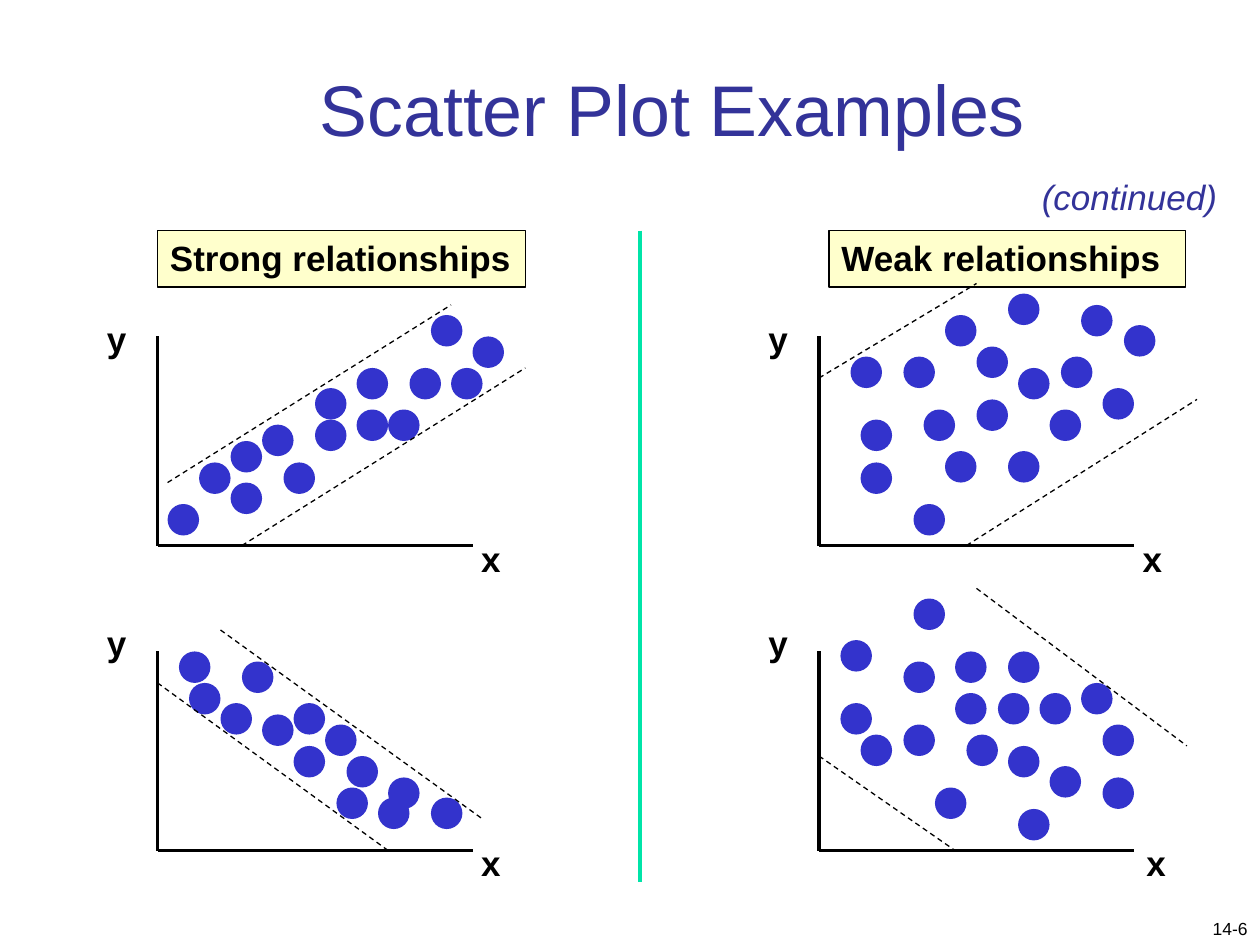
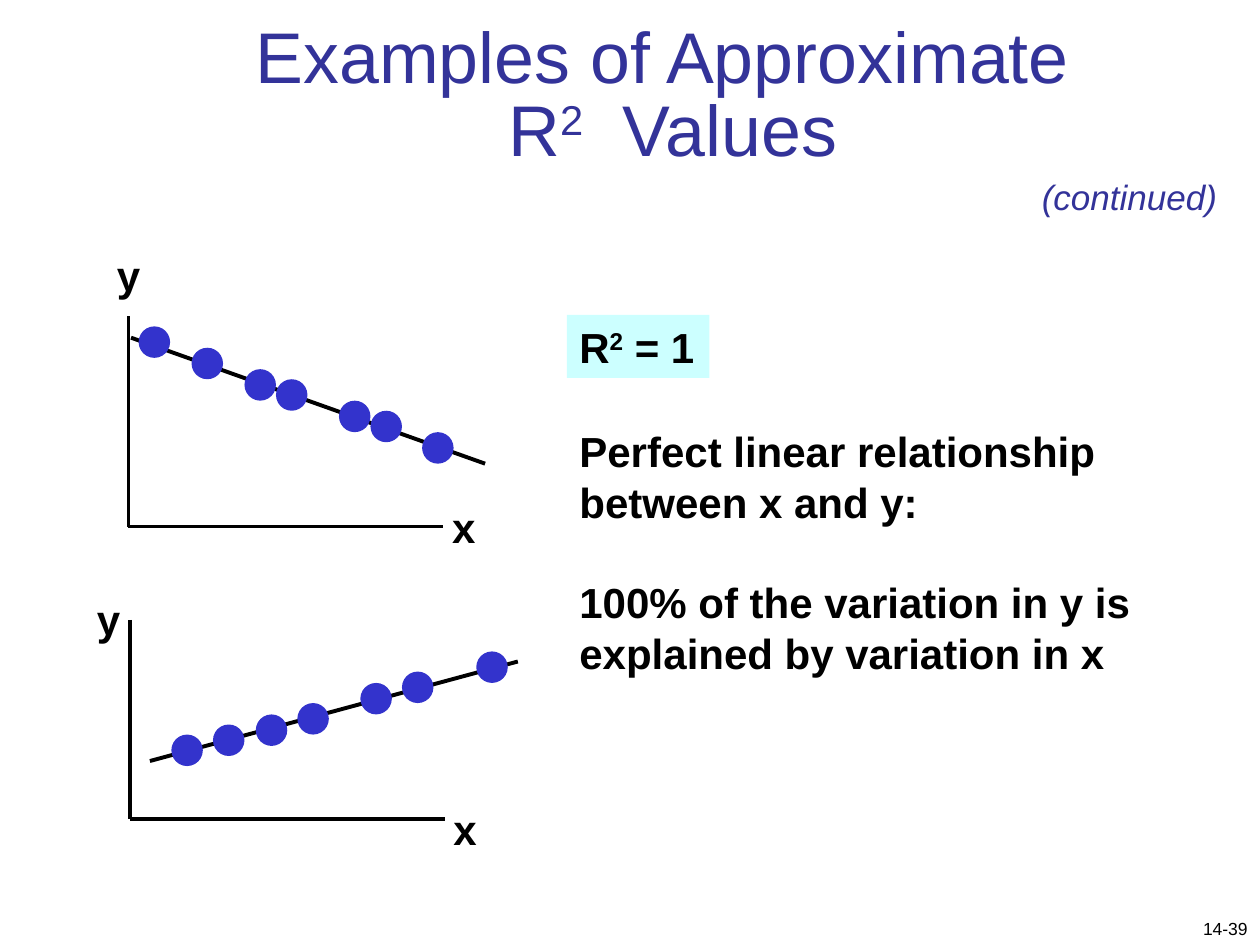
from copy import deepcopy
from pptx import Presentation
from pptx.dml.color import RGBColor
from pptx.enum.dml import MSO_LINE
from pptx.enum.shapes import MSO_CONNECTOR, MSO_SHAPE
from pptx.enum.text import MSO_ANCHOR, MSO_AUTO_SIZE, PP_ALIGN
from pptx.oxml.ns import qn
from pptx.util import Cm, Pt
from lxml.etree import SubElement

BLACK = RGBColor(0x00, 0x00, 0x00)
NAVY = RGBColor(0x33, 0x33, 0x99)
BLUE = RGBColor(0x33, 0x33, 0xCC)
CREAM = RGBColor(0xFF, 0xFF, 0xCC)
AQUA = RGBColor(0xCC, 0xFF, 0xFF)
GREEN = RGBColor(0x00, 0xE4, 0xA8)
FONT = "Arial"
DOT = 0.25
SPAN = 2.5


def inch(*sides):
    return [Cm(side * 2.54) for side in sides]


def write(frame, text, size=20, color=BLACK, bold=False, italic=False,
          align=PP_ALIGN.LEFT, anchor=MSO_ANCHOR.TOP, wrap=True,
          fit=MSO_AUTO_SIZE.NONE, lead=None, gap=0):
    frame.word_wrap = wrap
    frame.auto_size = fit
    frame.vertical_anchor = anchor
    for i, line in enumerate(text.split("\n")):
        para = frame.add_paragraph() if i else frame.paragraphs[0]
        para.alignment = align
        para.line_spacing = lead
        para.space_before = Pt(gap if i else 0)
        for j, part in enumerate(line.split("^")):
            for k, piece in enumerate(part.split("\v")):
                if k:
                    para.add_line_break()
                run = para.add_run()
                run.text = piece
                font = run.font
                font.name, font.size = FONT, Pt(size)
                font.bold, font.italic = bold, italic
                font.color.rgb = color
                if j % 2:
                    font._element.set("baseline", "30000")
        for mark in para._p.findall(qn("a:br")):
            mark.append(deepcopy(para.runs[0].font._element))


class Deck:
    def __init__(self):
        self.file = Presentation()
        self.file.slide_width, self.file.slide_height = inch(10, 7.5)
        self.slide = None

    def page(self, title, box, number, lead=None):
        self.slide = self.file.slides.add_slide(self.file.slide_layouts[5])
        head = self.slide.shapes.title
        head.left, head.top, head.width, head.height = inch(*box)
        write(head.text_frame, title, size=41, color=NAVY, lead=lead,
              align=PP_ALIGN.CENTER, anchor=MSO_ANCHOR.BOTTOM)
        self.text(number, 7.92, 7.16, 2.08, 0.34, size=10,
                  align=PP_ALIGN.RIGHT, anchor=MSO_ANCHOR.BOTTOM)
        self.text("(continued)", 8.17, 1.34, 1.6, 0.43, color=NAVY,
                  italic=True, wrap=False)

    def text(self, words, x, y, w, h, **style):
        box = self.slide.shapes.add_textbox(*inch(x, y, w, h))
        write(box.text_frame, words, **style)

    def shape(self, kind, x, y, w, h, fill, edge=None):
        item = self.slide.shapes.add_shape(kind, *inch(x, y, w, h))
        item.shadow.inherit = False
        item.fill.solid()
        item.fill.fore_color.rgb = fill
        if edge:
            item.line.color.rgb = edge
            item.line.width = Pt(1)
        else:
            item.line.fill.background()
        return item

    def panel(self, words, x, y, w, h, fill, edge=None, **style):
        item = self.shape(MSO_SHAPE.RECTANGLE, x, y, w, h, fill, edge)
        write(item.text_frame, words, bold=True, **style)

    def line(self, x1, y1, x2, y2, width=2, color=BLACK, dash=False):
        item = self.slide.shapes.add_connector(
            MSO_CONNECTOR.STRAIGHT, *inch(x1, y1, x2, y2))
        item.line.color.rgb = color
        item.line.width = Pt(width)
        if dash:
            item.line.dash_style = MSO_LINE.DASH
        SubElement(item._element.spPr, qn("a:effectLst"))

    def plot(self, x, top, base, dots, ylab, xlab, size=20):
        self.line(x, top, x, base)
        self.line(x, base, x + SPAN, base)
        for left, high in dots:
            self.shape(MSO_SHAPE.OVAL, left, high, DOT, DOT, BLUE)
        for name, spot in (("y", ylab), ("x", xlab)):
            self.text(name, *spot, 0.36, size / 48, size=size, bold=True,
                      wrap=False)


RISE = [(1.33, 4), (1.58, 3.67), (1.83, 3.83), (1.83, 3.5), (2.08, 3.37),
        (2.25, 3.67), (2.5, 3.33), (2.5, 3.08), (2.83, 3.25), (2.83, 2.92),
        (3.08, 3.25), (3.25, 2.92), (3.42, 2.5), (3.58, 2.92), (3.75, 2.67)]
FALL = [(1.42, 5.17), (1.5, 5.42), (1.75, 5.58), (1.92, 5.25), (2.08, 5.67),
        (2.33, 5.58), (2.33, 5.92), (2.58, 5.75), (2.67, 6.25), (2.75, 6),
        (3, 6.33), (3.08, 6.17), (3.42, 6.33)]
LOOSE = [(6.75, 2.83), (6.83, 3.33), (6.83, 3.67), (7.17, 2.83), (7.25, 4),
         (7.33, 3.25), (7.5, 2.5), (7.5, 3.58), (7.75, 2.75), (7.75, 3.17),
         (8, 2.33), (8, 3.58), (8.08, 2.92), (8.33, 3.25), (8.42, 2.83),
         (8.58, 2.42), (8.75, 3.08), (8.92, 2.58)]
SPARSE = [(6.67, 5.08), (6.67, 5.58), (6.83, 5.83), (7.17, 5.25),
          (7.17, 5.75), (7.25, 4.75), (7.42, 6.25), (7.58, 5.17),
          (7.58, 5.5), (7.67, 5.83), (7.92, 5.5), (8, 5.17), (8, 5.92),
          (8.08, 6.42), (8.25, 5.5), (8.33, 6.08), (8.58, 5.42),
          (8.75, 5.75), (8.75, 6.17)]
BANDS = [(1.33, 3.83, 3.58, 2.42), (1.92, 4.33, 4.17, 2.92),
         (6.5, 3, 7.75, 2.25), (7.67, 4.33, 9.5, 3.17),
         (1.75, 5, 3.83, 6.5), (1.25, 5.42, 3.08, 6.75),
         (7.75, 4.67, 9.42, 5.92), (6.5, 6, 7.58, 6.75)]
DOWN = [(1.1, 2.59), (1.52, 2.76), (1.94, 2.93), (2.19, 3.01),
        (2.69, 3.18), (2.94, 3.26), (3.35, 3.43)]
UP = [(1.36, 5.83), (1.69, 5.75), (2.03, 5.67), (2.36, 5.58),
      (2.86, 5.42), (3.19, 5.33), (3.78, 5.17)]


def scatter(deck):
    deck.page("Scatter Plot Examples", (1.08, 0.42, 8.52, 0.83), "14-6")
    deck.plot(1.25, 5.17, 6.75, FALL, (0.75, 4.88), (3.72, 6.63))
    deck.plot(1.25, 2.67, 4.33, RISE, (0.75, 2.47), (3.72, 4.22))
    deck.plot(6.5, 5.17, 6.75, SPARSE, (6, 4.88), (9, 6.63))
    deck.plot(6.5, 2.67, 4.33, LOOSE, (6, 2.47), (8.97, 4.22))
    for words, x, w in (("Strong relationships", 1.25, 2.92),
                        ("Weak relationships", 6.58, 2.83)):
        deck.panel(words, x, 1.83, w, 0.45, CREAM, BLACK,
                   fit=MSO_AUTO_SIZE.SHAPE_TO_FIT_TEXT)
    deck.line(5.08, 1.83, 5.08, 7, width=2.25, color=GREEN)
    for band in BANDS:
        deck.line(*band, width=0.75, dash=True)


def perfect(deck):
    deck.page("Examples of Approximate \vR^2^  Values",
              (1.08, 0.33, 8.52, 1.08), "14-39", lead=0.85)
    deck.line(3.85, 3.68, 1.04, 2.68, width=2.25)
    deck.plot(1.02, 2.51, 4.18, DOWN, (0.83, 1.93), (3.49, 3.93), size=24)
    deck.line(1.19, 6.04, 4.11, 5.25, width=2.25)
    deck.plot(1.03, 4.92, 6.5, UP, (0.67, 4.66), (3.5, 6.33), size=24)
    deck.panel("R^2^ = 1", 4.5, 2.5, 1.13, 0.5, AQUA, size=24, wrap=False)
    deck.text("Perfect linear relationship between x and y:\n"
              "100% of the variation in y is explained by variation in x",
              4.5, 3.33, 4.58, 2.1, size=24, bold=True, gap=28.8)


def main():
    deck = Deck()
    scatter(deck)
    perfect(deck)
    deck.file.save("out.pptx")


if __name__ == "__main__":
    main()
